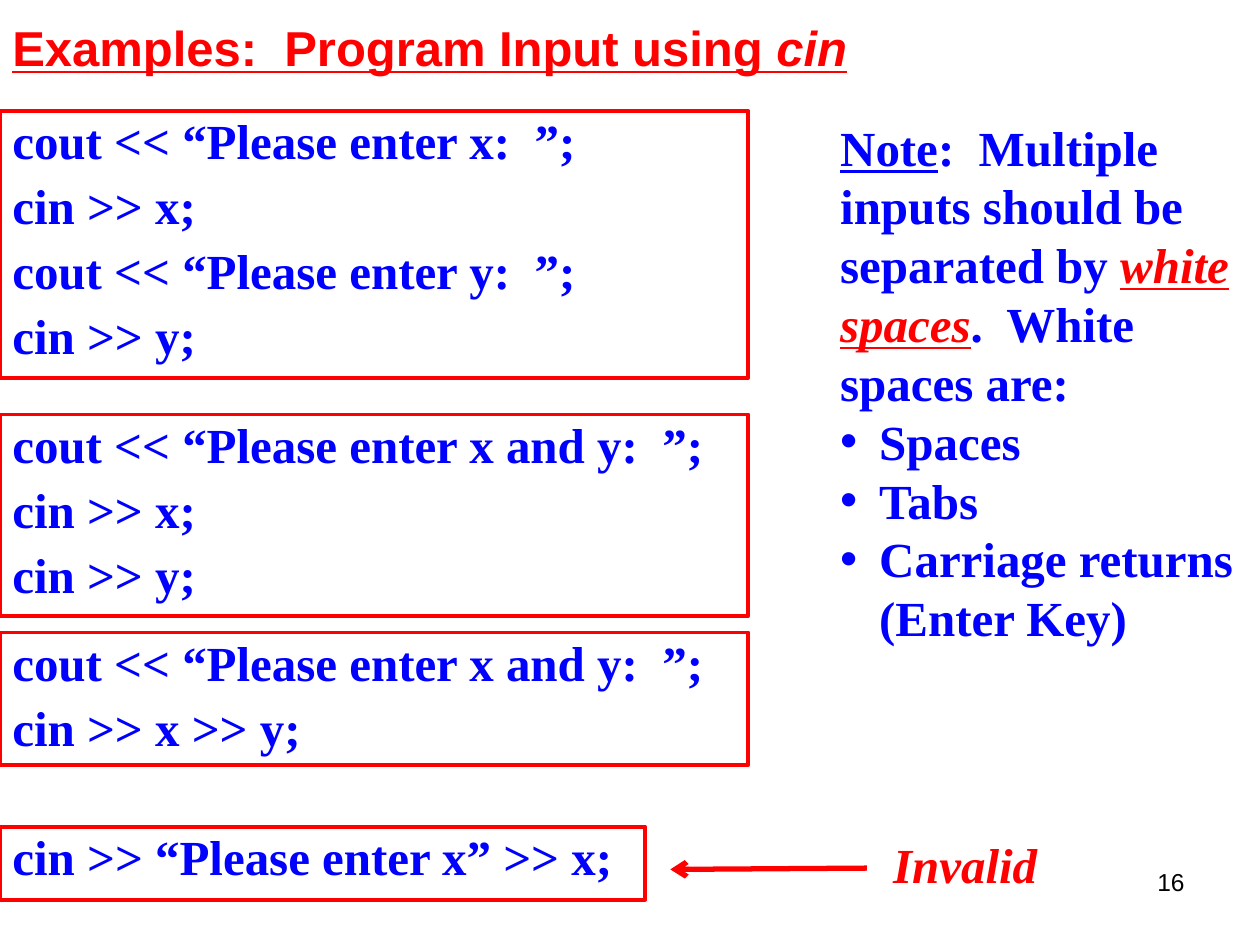
from lxml import etree
from pptx import Presentation
from pptx import util as u
from pptx.dml.color import RGBColor
from pptx.enum import shapes, text
from pptx.oxml.ns import qn

RED = RGBColor(255, 0, 0)
BLUE = RGBColor(0, 0, 255)
BLACK = RGBColor(0, 0, 0)
SERIF = dict(name="Times New Roman", size=u.Pt(28), bold=True)
CODE = dict(SERIF, color=BLUE)
ALERT = dict(SERIF, color=RED, italic=True)
HEADING = dict(CODE, name="Arial", color=RED, underline=True)
NUMBER = dict(name="Arial", size=u.Pt(14), color=BLACK)
SNIPPETS = [
    ((0, 0.88, 5.94, 2.12), [
        "cout << “Please enter x:  ”;", "cin >> x;",
        "cout << “Please enter y:  ”;", "cin >> y;"]),
    ((0, 3.29, 5.94, 1.6), [
        "cout << “Please enter x and y:  ”;", "cin >> x;", "cin >> y;"]),
    ((0, 5.02, 5.94, 1.05), [
        "cout << “Please enter x and y:  ”;", "cin >> x >> y;"]),
    ((0, 6.56, 5.12, 0.58), ["cin >> “Please enter x” >> x;"]),
]


def inches(values):
    return [u.Inches(value) for value in values]


def set_indent(para, hanging, bullet=None):
    properties = para._p.get_or_add_pPr()
    properties.set("marL", str(u.Inches(hanging)))
    properties.set("indent", str(-u.Inches(hanging)))
    if bullet:
        etree.SubElement(properties, qn("a:buFont"), typeface="Arial")
        etree.SubElement(properties, qn("a:buChar"), char=bullet)


def add_span(para, wording, style):
    span = para.add_run()
    span.text = wording
    for key, value in style.items():
        if key == "color":
            span.font.color.rgb = value
        else:
            setattr(span.font, key, value)


def next_para(frame, index):
    return frame.add_paragraph() if index else frame.paragraphs[0]


def add_label(page, box, spans, anchor=text.MSO_ANCHOR.MIDDLE, align=text.PP_ALIGN.LEFT):
    frame = page.shapes.add_textbox(*inches(box)).text_frame
    frame.word_wrap = True
    frame.vertical_anchor = anchor
    para = frame.paragraphs[0]
    para.alignment = align
    for wording, style in spans:
        add_span(para, wording, style)


def add_snippet(page, box, lines):
    panel = page.shapes.add_shape(shapes.MSO_SHAPE.RECTANGLE, *inches(box))
    panel.shadow.inherit = False
    panel.fill.background()
    panel.line.color.rgb = RED
    panel.line.width = u.Pt(2.25)
    frame = panel.text_frame
    frame.word_wrap = True
    frame.vertical_anchor = text.MSO_ANCHOR.TOP
    for index, line in enumerate(lines):
        para = next_para(frame, index)
        set_indent(para, 0.81)
        para.alignment = text.PP_ALIGN.LEFT
        para.line_spacing = 0.9
        para.space_before = u.Pt(7 if index else 0)
        add_span(para, line, CODE)


def add_note(page, box):
    frame = page.shapes.add_textbox(*inches(box)).text_frame
    frame.word_wrap = True
    frame.auto_size = text.MSO_AUTO_SIZE.SHAPE_TO_FIT_TEXT
    intro = frame.paragraphs[0]
    add_span(intro, "Note", dict(CODE, underline=True))
    add_span(intro, ":  Multiple inputs should be separated by ", CODE)
    add_span(intro, "white spaces", dict(ALERT, underline=True))
    add_span(intro, ".  White spaces are:", CODE)
    for item in ("Spaces", "Tabs", "Carriage returns (Enter Key)"):
        para = frame.add_paragraph()
        set_indent(para, 0.31, "•")
        add_span(para, item, CODE)


def add_arrow(page, start, end):
    arrow = page.shapes.add_connector(
        shapes.MSO_CONNECTOR.STRAIGHT, *inches(start + end))
    arrow.line.color.rgb = RED
    arrow.line.width = u.Pt(3)
    etree.SubElement(arrow.line._get_or_add_ln(), qn("a:tailEnd"), type="arrow")
    etree.SubElement(arrow._element.spPr, qn("a:effectLst"))


def main():
    deck = Presentation()
    deck.slide_width, deck.slide_height = inches((10, 7.5))
    page = deck.slides.add_slide(deck.slide_layouts[6])
    add_label(page, (7.17, 6.83, 2.33, 0.52), [("16", NUMBER)],
              text.MSO_ANCHOR.TOP, text.PP_ALIGN.RIGHT)
    add_label(page, (0, 0, 9, 0.75), [
        ("Examples:  Program Input using ", HEADING),
        ("cin", dict(HEADING, italic=True))])
    for box, lines in SNIPPETS:
        add_snippet(page, box, lines)
    add_label(page, (6.99, 6.57, 1.58, 0.57), [("Invalid", ALERT)])
    add_arrow(page, (6.88, 6.89), (5.32, 6.9))
    add_note(page, (6.57, 0.88, 3.43, 4.34))
    deck.save("out.pptx")


if __name__ == "__main__":
    main()
